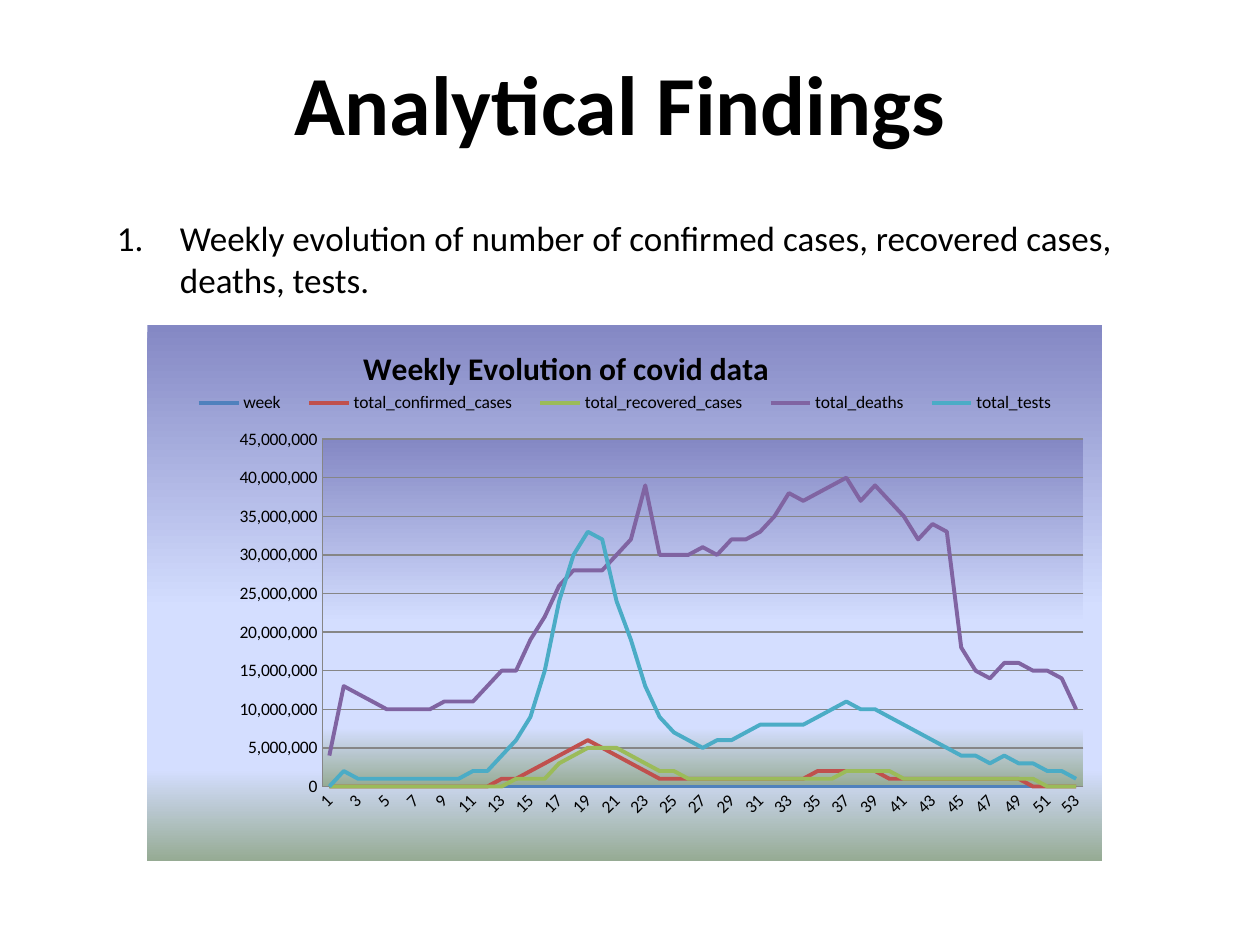
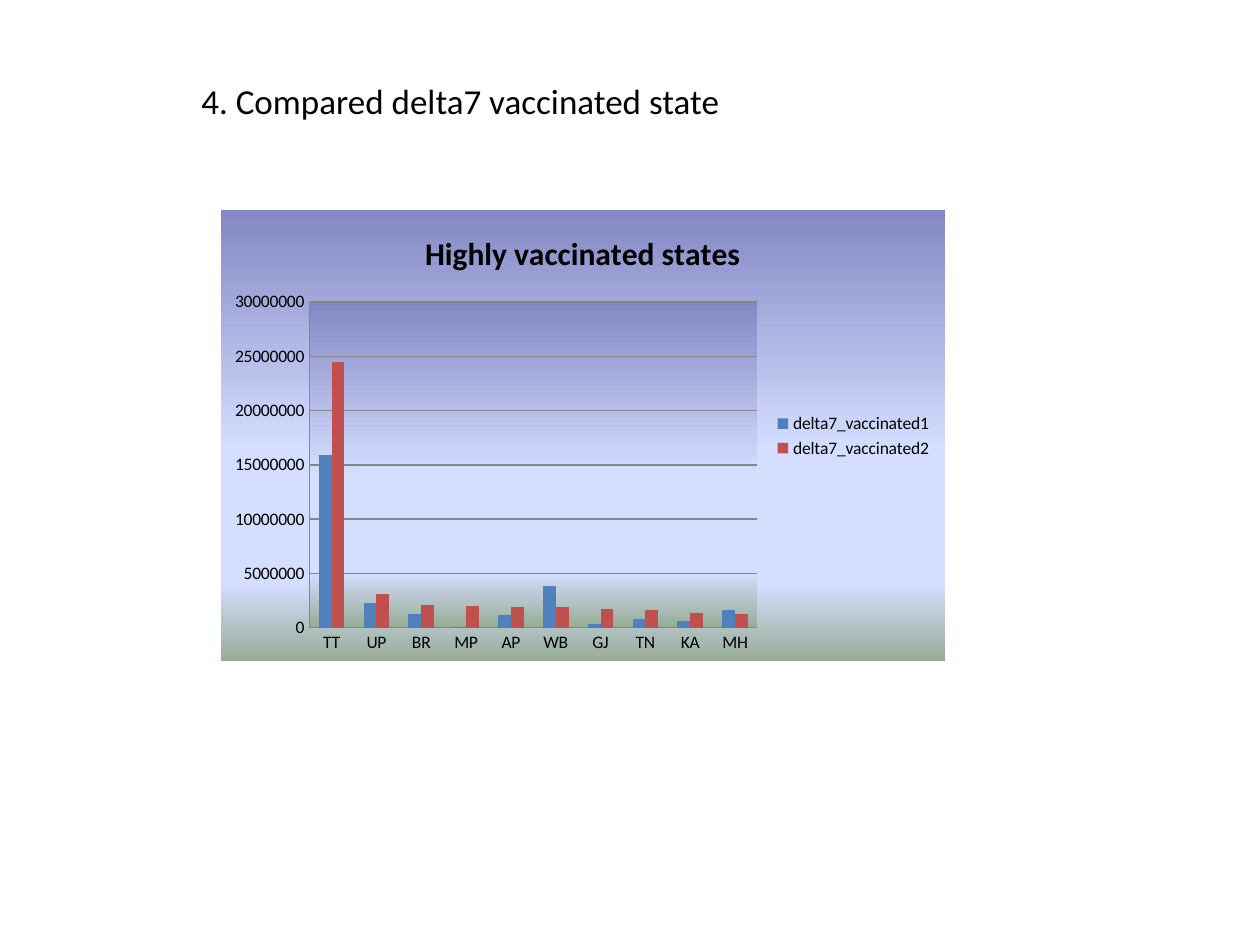
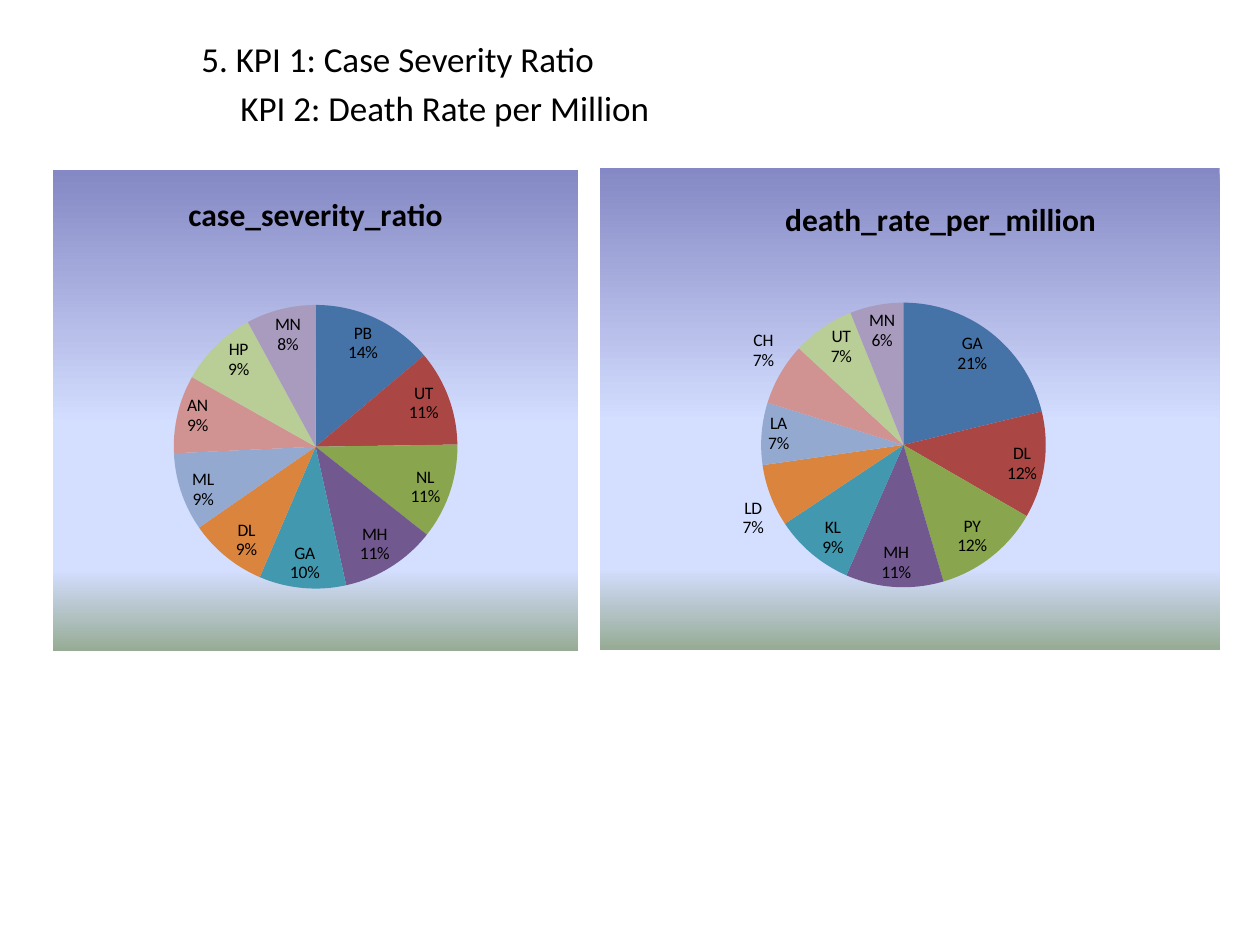
from lxml import etree
from pptx import Presentation
from pptx.chart.data import CategoryChartData as Data
from pptx.dml.color import RGBColor
from pptx.enum.chart import XL_CHART_TYPE as Kind
from pptx.enum.chart import XL_LABEL_POSITION as Spot
from pptx.enum.chart import XL_LEGEND_POSITION as Side
from pptx.enum.chart import XL_TICK_MARK as Tick
from pptx.enum.text import MSO_ANCHOR as Anchor
from pptx.enum.text import PP_ALIGN as Align
from pptx.oxml import parse_xml
from pptx.oxml.ns import nsdecls, qn
from pptx.util import Inches, Pt

BLACK = RGBColor(0x00, 0x00, 0x00)
GREY = RGBColor(0x86, 0x86, 0x86)
BLUE = RGBColor(0x4F, 0x81, 0xBD)
RED = RGBColor(0xC0, 0x50, 0x4D)
GREEN = RGBColor(0x9B, 0xBB, 0x59)
PURPLE = RGBColor(0x80, 0x64, 0xA2)
AQUA = RGBColor(0x4B, 0xAC, 0xC6)
HUES = [BLUE, RED, GREEN, PURPLE, AQUA]
SLICES = [
    RGBColor(0x45, 0x72, 0xA7), RGBColor(0xAA, 0x46, 0x43),
    RGBColor(0x89, 0xA5, 0x4E), RGBColor(0x71, 0x58, 0x8F),
    RGBColor(0x41, 0x98, 0xAF), RGBColor(0xDB, 0x84, 0x3D),
    RGBColor(0x93, 0xA9, 0xCF), RGBColor(0xD1, 0x93, 0x92),
    RGBColor(0xB9, 0xCD, 0x96), RGBColor(0xA9, 0x9B, 0xBD)]
DUSK = RGBColor(0x84, 0x88, 0xC4)
SKY = RGBColor(0xD4, 0xDE, 0xFF)
MOSS = RGBColor(0x96, 0xAB, 0x94)
STOPS = [(0, DUSK), (53, SKY), (83, SKY), (100, MOSS)]
MILLION = 10 ** 6

# Weekly figures, in millions.
WEEKLY = {
    "week": [0] * 53,
    "total_confirmed_cases":
        [0] * 12 + [1, 1, 2, 3, 4, 5, 6, 5, 4, 3, 2] + [1] * 11 + [2] * 5
        + [1] * 10 + [0] * 4,
    "total_recovered_cases":
        [0] * 13 + [1, 1, 1, 3, 4, 5, 5, 5, 4, 3, 2, 2] + [1] * 11
        + [2] * 4 + [1] * 10 + [0] * 3,
    "total_deaths": [
        4, 13, 12, 11, 10, 10, 10, 10, 11, 11, 11, 13, 15, 15, 19, 22, 26, 28,
        28, 28, 30, 32, 39, 30, 30, 30, 31, 30, 32, 32, 33, 35, 38, 37, 38,
        39, 40, 37, 39, 37, 35, 32, 34, 33, 18, 15, 14, 16, 16, 15, 15, 14,
        10],
    "total_tests": [
        0, 2, 1, 1, 1, 1, 1, 1, 1, 1, 2, 2, 4, 6, 9, 15, 24, 30, 33, 32, 24,
        19, 13, 9, 7, 6, 5, 6, 6, 7, 8, 8, 8, 8, 9, 10, 11, 10, 10, 9, 8, 7,
        6, 5, 4, 4, 3, 4, 3, 3, 2, 2, 1]}

# Vaccinated people, in units of 100,000.
DOSES = {
    "delta7_vaccinated1": [159, 23, 13, 1, 12, 38, 3, 8, 6, 16],
    "delta7_vaccinated2": [245, 31, 21, 20, 19, 19, 17, 16, 14, 13]}


def put(item, **vals):
    """Set each given attribute on an item."""
    for name, val in vals.items():
        setattr(item, name, val)


def scale(rows, unit):
    """Multiply every value in a dict of rows by a unit."""
    return {name: [val * unit for val in row] for name, row in rows.items()}


def shade():
    """Make the borderless gradient shared by all charts."""
    stops = "".join(f'<a:gs pos="{at * 1000}"><a:srgbClr val="{hue}"/></a:gs>'
                    for at, hue in STOPS)
    return parse_xml(
        f'<c:spPr {nsdecls("c", "a")}><a:gradFill><a:gsLst>{stops}</a:gsLst>'
        '<a:lin ang="5400000" scaled="0"/></a:gradFill>'
        '<a:ln><a:noFill/></a:ln></c:spPr>')


def layout(box, inner=False):
    """Make a manual layout from fractions of the chart: x, y, w, h."""
    parts = ['<c:layoutTarget val="inner"/>'] if inner else []
    parts += [f'<c:{key}Mode val="edge"/>' for key in "xy"]
    parts += [f'<c:{key} val="{val}"/>' for key, val in zip("xywh", box)]
    return parse_xml(f'<c:layout {nsdecls("c")}><c:manualLayout>'
                     f'{"".join(parts)}</c:manualLayout></c:layout>')


def place(host, after, box, inner=False):
    """Give a chart part its layout, behind the named child or first."""
    for old in host.findall(qn("c:layout")):
        host.remove(old)
    new = layout(box, inner)
    if after:
        host.find(qn(after)).addnext(new)
    else:
        host.insert(0, new)


class Deck:
    """Hold the style and the current slide."""

    face = "Calibri"
    body = {"size": Pt(20), "bold": False}
    head = {"size": Pt(48), "bold": True}
    label = {"size": Pt(10), "bold": False}
    title = {"size": Pt(18), "bold": True}

    def __init__(self):
        """Start an empty deck."""
        self.show = Presentation()
        put(self.show, slide_width=Inches(10), slide_height=Inches(7.5))
        self.slide = None

    def page(self):
        """Add a blank slide."""
        self.slide = self.show.slides.add_slide(self.show.slide_layouts[6])

    def ink(self, font, look):
        """Apply the shared face and colour with one look."""
        put(font, name=self.face, **look)
        font.color.rgb = BLACK

    def text(self, box, lines, look=None, anchor=Anchor.TOP,
             align=Align.LEFT, gap=4):
        """Add a text box and return its paragraphs."""
        frame = self.slide.shapes.add_textbox(*map(Inches, box)).text_frame
        put(frame, word_wrap=True, vertical_anchor=anchor)
        for n, line in enumerate(lines):
            para = frame.add_paragraph() if n else frame.paragraphs[0]
            put(para, alignment=align, space_before=Pt(gap))
            run = para.add_run()
            run.text = line
            self.ink(run.font, look or self.body)
        return frame.paragraphs

    def indent(self, para, left, first=0, number=False):
        """Indent a paragraph and number it if asked."""
        props = para._p.get_or_add_pPr()
        props.set("marL", str(Inches(left)))
        props.set("indent", str(Inches(first)))
        if number:
            etree.SubElement(props, qn("a:buAutoNum"), type="arabicPeriod")

    def chart(self, kind, box, name, cats, rows, area=None, head=None):
        """Add a chart with its title and gradient."""
        data = Data()
        data.categories = cats
        for key, vals in rows.items():
            data.add_series(key, vals)
        chart = self.slide.shapes.add_chart(
            kind, *map(Inches, box), data).chart
        self.ink(chart.font, self.label)
        put(chart, has_title=True, has_legend=False)
        title = chart.chart_title
        title.include_in_layout = False
        title.text_frame.text = name
        self.ink(title.text_frame.paragraphs[0].runs[0].font, self.title)
        if head:
            place(title._element, "c:tx", head)
        root = chart._chartSpace.find(qn("c:chart"))
        root.addnext(shade())
        if area:
            place(root.find(qn("c:plotArea")), None, area, True)
        return chart

    def axes(self, chart, form="General"):
        """Style both axes, the grid and the plot background."""
        for axis in (chart.category_axis, chart.value_axis):
            put(axis, major_tick_mark=Tick.NONE, minor_tick_mark=Tick.NONE)
            axis.format.line.color.rgb = GREY
        axis.has_major_gridlines = True
        axis.major_gridlines.format.line.color.rgb = GREY
        put(axis.tick_labels, number_format=form,
            number_format_is_linked=False)
        chart._chartSpace.find(qn("c:chart")).find(
            qn("c:plotArea")).append(shade())

    def legend(self, chart, side, box=None):
        """Show the legend, at a fixed place if given."""
        chart.has_legend = True
        put(chart.legend, position=side, include_in_layout=False)
        if box:
            place(chart.legend._element, "c:legendPos", box)

    def lines(self, *args, **more):
        """Add a line chart."""
        chart = self.chart(Kind.LINE, *args, **more)
        self.axes(chart, r"#,##0;\-#,##0")
        chart.plots[0].vary_by_categories = False
        for row, hue in zip(chart.plots[0].series, HUES):
            row.smooth = False
            row.format.line.width = Pt(2.25)
            row.format.line.color.rgb = hue
        return chart

    def bars(self, *args, **more):
        """Add a clustered column chart."""
        chart = self.chart(Kind.COLUMN_CLUSTERED, *args, **more)
        self.axes(chart)
        put(chart.plots[0], vary_by_categories=False, gap_width=150,
            overlap=0)
        for row, hue in zip(chart.plots[0].series, HUES):
            row.format.fill.solid()
            row.format.fill.fore_color.rgb = hue
        return chart

    def pie(self, box, name, cats, vals, **more):
        """Add a pie with category and percent labels."""
        chart = self.chart(Kind.PIE, box, name, cats, {name: vals}, **more)
        plot = chart.plots[0]
        put(plot, vary_by_categories=True, has_data_labels=True)
        tags = plot.data_labels
        put(tags, show_category_name=True, show_percentage=True,
            show_value=False, position=Spot.BEST_FIT, number_format="0%",
            number_format_is_linked=False)
        self.ink(tags.font, self.label)
        gap = etree.Element(qn("c:separator"))
        gap.text = "\n"
        tags._element.find(qn("c:showBubbleSize")).addnext(gap)
        for n, hue in enumerate(SLICES):
            fill = plot.series[0].points[n].format.fill
            fill.solid()
            fill.fore_color.rgb = hue


deck = Deck()

deck.page()
deck.text((0.67, 0, 8.5, 1.61), ["Analytical Findings"], deck.head,
          Anchor.MIDDLE, Align.CENTER, 0)
item, = deck.text((0.83, 1.67, 8.5, 4.83), [
    "Weekly evolution of number of confirmed cases, recovered cases, "
    "deaths, tests."])
deck.indent(item, 0.5, -0.5, number=True)
weeks = deck.lines(
    (1.17, 2.58, 7.58, 4.25), "Weekly Evolution of covid data",
    [str(n) for n in range(1, 54)], scale(WEEKLY, MILLION),
    area=(0.183, 0.213, 0.797, 0.649), head=(0.22, 0.03))
deck.legend(weeks, Side.CORNER, (0.03, 0.11, 0.94, 0.07))

deck.page()
deck.text((1.5, 0.58, 7, 5.58), ["4. Compared delta7 vaccinated state"])
states = deck.bars(
    (1.75, 1.67, 5.75, 3.58), "Highly vaccinated states",
    "TT UP BR MP AP WB GJ TN KA MH".split(), scale(DOSES, MILLION // 10))
deck.legend(states, Side.RIGHT)

deck.page()
first, second = deck.text((1.5, 0.25, 7, 5.92), [
    "5. KPI 1: Case Severity Ratio", "KPI 2: Death Rate per Million"])
deck.indent(second, 0.31)
deck.pie((0.42, 1.35, 4.17, 3.82), "case_severity_ratio",
         "PB UT NL MH GA DL ML AN HP MN".split(),
         [14, 11, 11, 11, 10, 9, 9, 9, 9, 8],
         area=(0.23, 0.28, 0.54, 0.59))
deck.pie((4.76, 1.33, 4.92, 3.83), "death_rate_per_million",
         "GA DL PY MH KL LD LA CH UT MN".split(),
         [21, 12, 12, 11, 9, 7, 7, 7, 7, 6],
         area=(0.26, 0.28, 0.46, 0.59), head=(0.29, 0.05))

deck.show.save("out.pptx")
